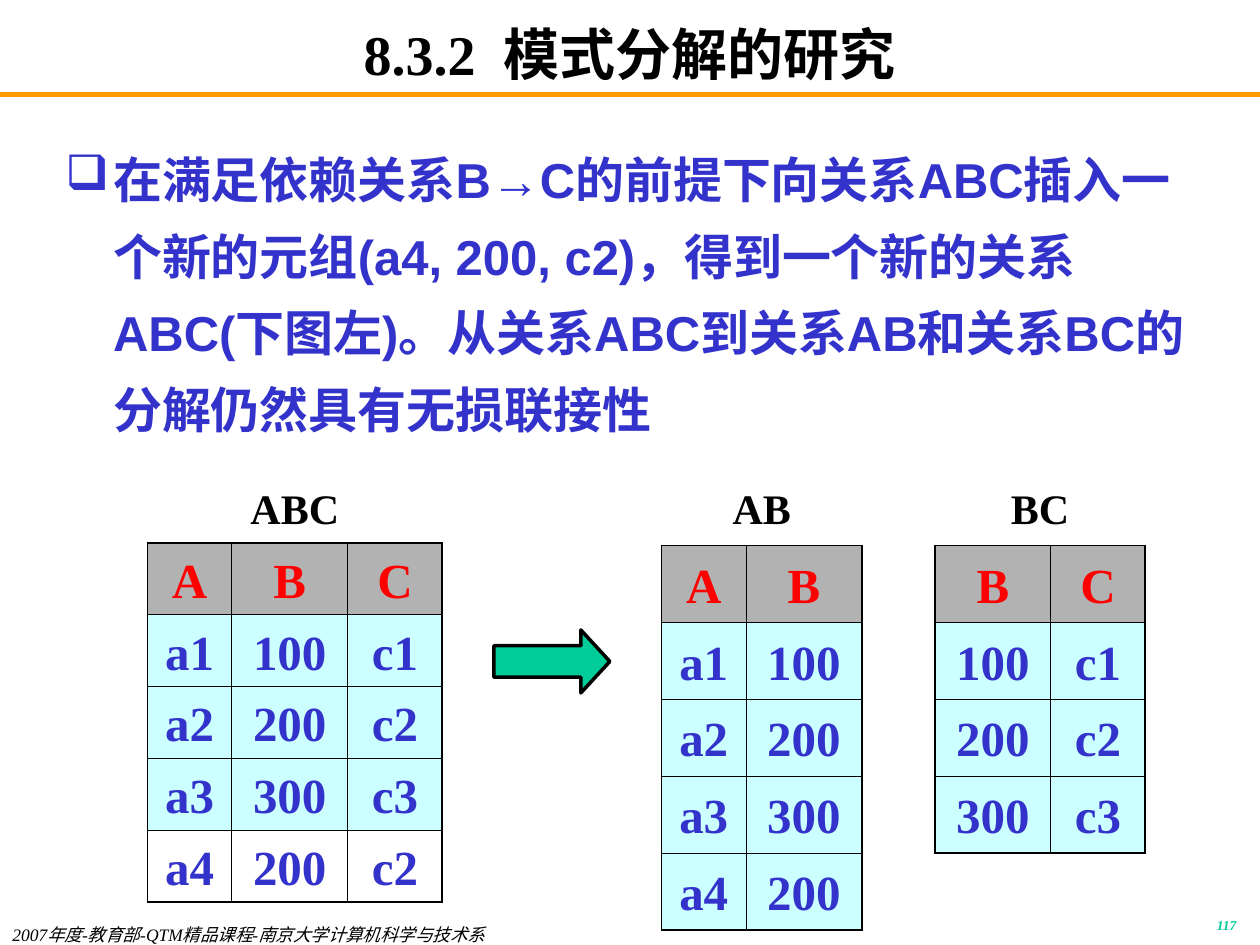
from lxml.etree import SubElement
from pptx import Presentation
from pptx.dml.color import RGBColor
from pptx.enum.shapes import MSO_CONNECTOR, MSO_SHAPE
from pptx.enum.text import MSO_ANCHOR, PP_ALIGN
from pptx.oxml.ns import qn
from pptx.util import Inches, Pt

COLORS = {
    "black": "000000",
    "white": "FFFFFF",
    "orange": "FF9900",
    "green": "00CC99",
    "blue": "3333CC",
    "red": "FF0000",
    "gray": "B2B2B2",
    "cyan": "CCFFFF",
}
SERIF, SANS = "Times New Roman", "Arial"
COLUMN_WIDTHS = {"A": 0.67, "B": 0.92, "C": 0.75}
THIN, THICK = 0.45, 1.08


def rgb(color):
    """Return the named colour."""
    return RGBColor.from_string(COLORS[color])


def add_run(paragraph, text, size, color="black", font=SERIF, bold=True, italic=False):
    """Append one formatted run."""
    run = paragraph.add_run()
    run.text = text
    run.font.size = Pt(size)
    run.font.name = font
    run.font.bold = bold
    run.font.italic = italic
    run.font.color.rgb = rgb(color)


def add_textbox(slide, box, align=PP_ALIGN.LEFT, anchor=MSO_ANCHOR.TOP, inset=0):
    """Add a wrapping text box and return its first paragraph."""
    frame = slide.shapes.add_textbox(*map(Inches, box)).text_frame
    frame.word_wrap = True
    frame.vertical_anchor = anchor
    frame.margin_top = frame.margin_bottom = Inches(inset)
    paragraph = frame.paragraphs[0]
    paragraph.alignment = align
    return paragraph


def add_bullet(paragraph, symbol, color, indent):
    """Give a paragraph a coloured bullet and a hanging indent."""
    properties = paragraph._p.get_or_add_pPr()
    properties.set("marL", str(Inches(indent)))
    properties.set("indent", str(-Inches(indent)))
    bullet_color = SubElement(properties, qn("a:buClr"))
    SubElement(bullet_color, qn("a:srgbClr"), val=COLORS[color])
    SubElement(properties, qn("a:buChar"), char=symbol)


def add_title_rule(slide):
    """Draw the rule under the title."""
    rule = slide.shapes.add_connector(
        MSO_CONNECTOR.STRAIGHT, 0, Inches(0.75), Inches(10), Inches(0.75)
    )
    rule.line.color.rgb = rgb("orange")
    rule.line.width = Pt(3)
    SubElement(rule._element.spPr, qn("a:effectLst"))


def set_borders(cell, widths):
    """Draw the left, right, top and bottom borders of a cell."""
    properties = cell._tc.get_or_add_tcPr()
    for side, width in zip("LRTB", widths):
        border = SubElement(properties, qn(f"a:ln{side}"), w=str(Pt(width)))
        fill = SubElement(border, qn("a:solidFill"))
        SubElement(fill, qn("a:srgbClr"), val=COLORS["black"])


def add_relation(slide, left, top, row_height, attributes, tuples, new_tuple=None):
    """Add a relation as a table with a header row of attributes."""
    rows = [list(attributes), *tuples]
    widths = [COLUMN_WIDTHS[attribute] for attribute in attributes]
    last_row, last_column = len(rows) - 1, len(widths) - 1
    table = slide.shapes.add_table(
        len(rows), len(widths), Inches(left), Inches(top),
        Inches(sum(widths)), Inches(row_height * len(rows)),
    ).table
    table.first_row = table.horz_banding = False
    for column, width in zip(table.columns, widths):
        column.width = Inches(width)
    for i, values in enumerate(rows):
        table.rows[i].height = Inches(row_height)
        background = "gray" if i == 0 else "white" if values == new_tuple else "cyan"
        for j, value in enumerate(values):
            cell = table.cell(i, j)
            outer = (j == 0, j == last_column, i == 0, i == last_row)
            set_borders(cell, [THICK if edge else THIN for edge in outer])
            cell.fill.solid()
            cell.fill.fore_color.rgb = rgb(background)
            cell.vertical_anchor = MSO_ANCHOR.MIDDLE
            cell.margin_top = cell.margin_bottom = Inches(0.02)
            paragraph = cell.text_frame.paragraphs[0]
            paragraph.alignment = PP_ALIGN.CENTER
            paragraph.line_spacing = 1.1
            add_run(paragraph, value, 28, "red" if i == 0 else "blue")
    label = add_textbox(slide, (left, 3.83, sum(widths), 0.4), PP_ALIGN.CENTER)
    add_run(label, attributes, 24)


def add_decomposition_arrow(slide):
    """Add the arrow from the relation to its decomposition."""
    arrow = slide.shapes.add_shape(
        MSO_SHAPE.RIGHT_ARROW, Inches(3.92), Inches(5), Inches(0.92), Inches(0.5)
    )
    arrow.adjustments[0] = 0.5
    arrow.adjustments[1] = 0.46
    arrow.shadow.inherit = False
    arrow.fill.solid()
    arrow.fill.fore_color.rgb = rgb("green")
    arrow.line.color.rgb = rgb("black")
    arrow.line.width = Pt(2)


def main():
    """Build the slide on schema decomposition."""
    presentation = Presentation()
    presentation.slide_width, presentation.slide_height = Inches(10), Inches(7.5)
    slide = presentation.slides.add_slide(presentation.slide_layouts[6])

    add_title_rule(slide)
    page_number = add_textbox(slide, (7.83, 7.25, 2.08, 0.25), PP_ALIGN.RIGHT, inset=0.05)
    page_number.line_spacing = 0.8
    add_run(page_number, "117", 7.7, "green", italic=True)
    footer = add_textbox(slide, (0, 7.33, 5.5, 0.17))
    add_run(footer, "2007年度-教育部-QTM精品课程-南京大学计算机科学与技术系", 10,
            bold=False, italic=True)
    title = add_textbox(slide, (0.75, 0.17, 8.5, 0.5), PP_ALIGN.CENTER, MSO_ANCHOR.MIDDLE)
    add_run(title, "8.3.2  模式分解的研究", 32)

    statement = add_textbox(slide, (0.42, 1, 9.17, 3.14), inset=0.05)
    add_bullet(statement, "❑", "blue", 0.38)
    statement.line_spacing = 1.3
    add_run(statement, "在满足依赖关系", 28, "blue")
    add_run(statement, "B→C的前提下向关系ABC插入一个新的元组(a4, 200, c2)，"
            "得到一个新的关系ABC(下图左)。从关系ABC到关系AB和关系BC的分解仍然具有无损联接性",
            28, "blue", SANS)

    abc = [["a1", "100", "c1"], ["a2", "200", "c2"], ["a3", "300", "c3"], ["a4", "200", "c2"]]
    ab = [values[:2] for values in abc]
    bc = [values[1:] for values in abc[:3]]
    add_relation(slide, 1.17, 4.31, 0.57, "ABC", abc, new_tuple=abc[-1])
    add_relation(slide, 5.25, 4.33, 0.61, "AB", ab)
    add_relation(slide, 7.42, 4.33, 0.61, "BC", bc)
    add_decomposition_arrow(slide)
    presentation.save("out.pptx")


if __name__ == "__main__":
    main()
